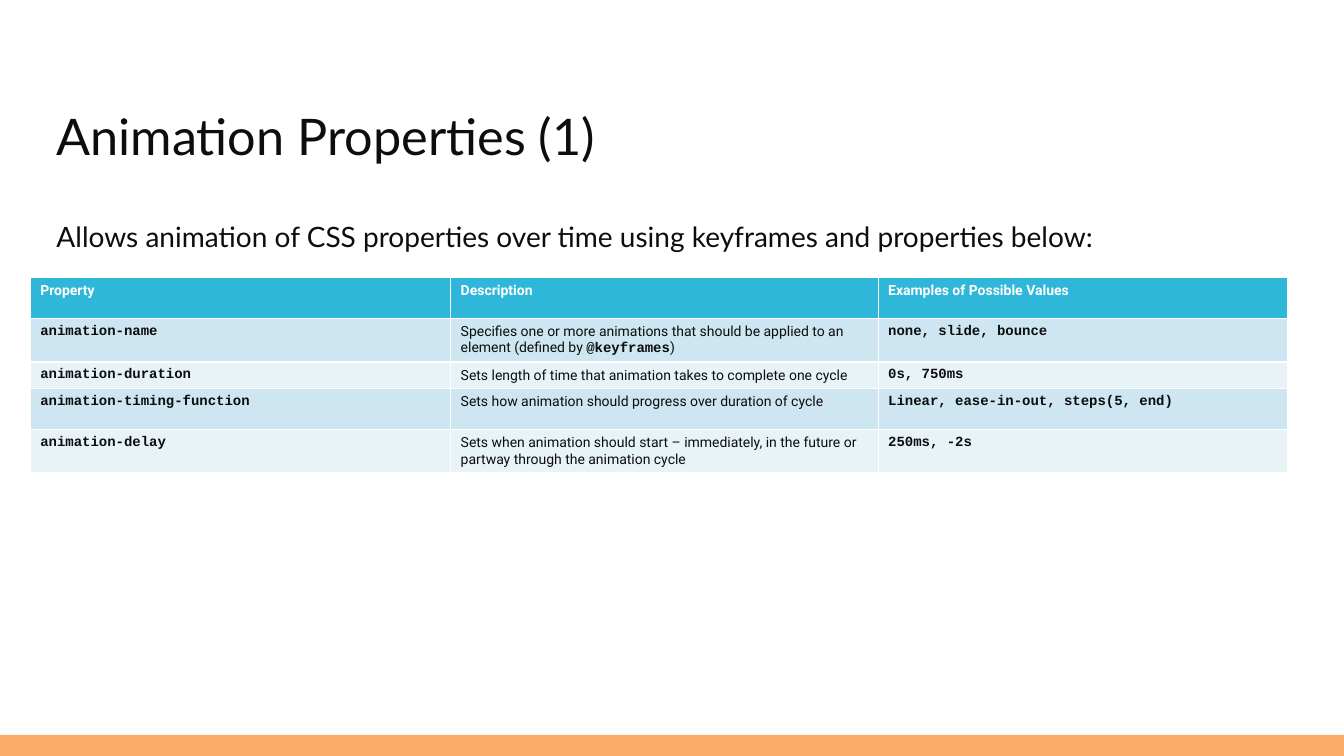
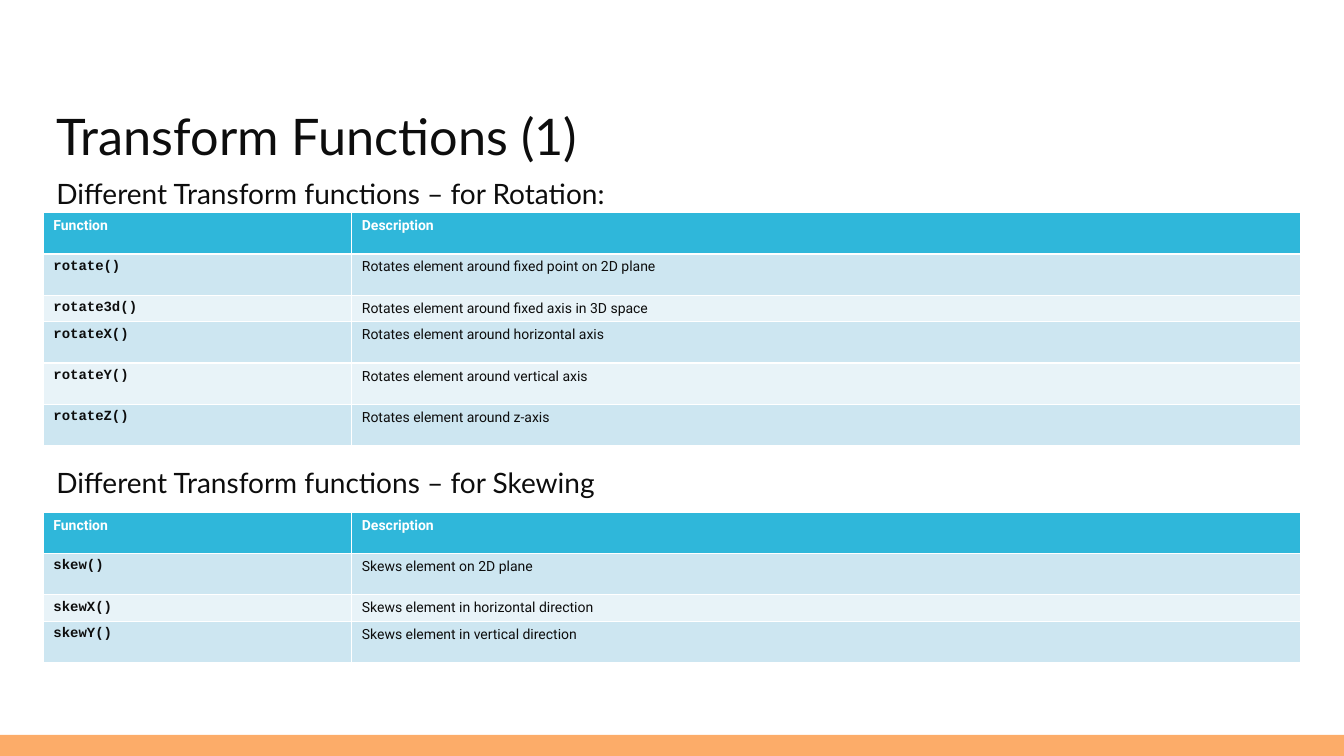
import pptx
import pptx.dml.color
import pptx.enum.shapes
import pptx.enum.text
import pptx.util

Inches = pptx.util.Inches
Pt = pptx.util.Pt
RGBColor = pptx.dml.color.RGBColor

INK = RGBColor(0x0D, 0x0D, 0x0D)
WHITE = RGBColor(0xFF, 0xFF, 0xFF)
ORANGE = RGBColor(0xFC, 0xAC, 0x69)
HEADER_BLUE = RGBColor(0x2F, 0xB7, 0xDA)
ROW_BLUES = (RGBColor(0xCD, 0xE6, 0xF1), RGBColor(0xE8, 0xF3, 0xF8))

HEADING_FONT, TABLE_FONT, CODE_FONT = "Lato", "Roboto", "Courier New"
SLIDE_WIDTH, SLIDE_HEIGHT, BAND_HEIGHT = 13.33, 7.5, 0.21
TEXT_LEFT, TEXT_WIDTH = 0.56, 12.21
TITLE_TOP, TITLE_HEIGHT, LEAD_HEIGHT = 1.06, 0.79, 0.45
ROW_HEIGHT, SHORT_ROW_HEIGHT, SHORT_ROW = 0.41, 0.26, 2
FUNCTION_COLUMNS = (3.06, 9.41)

# Backticks mark code inside table cells.
SLIDES = [
    {
        "title": "Animation Properties (1)",
        "sections": [
            {
                "lead": "Allows animation of CSS properties over time using keyframes and properties below:",
                "lead_top": 2.17, "line_spacing": 0.9,
                "table_at": (0.3, 2.75), "columns": (4.17, 4.24, 4.06),
                "rows": [
                    ("Property", "Description", "Examples of Possible Values"),
                    ("`animation-name`",
                     "Specifies one or more animations that should be applied to an element (defined by `@keyframes`)",
                     "`none, slide, bounce`"),
                    ("`animation-duration`",
                     "Sets length of time that animation takes to complete one cycle",
                     "`0s, 750ms`"),
                    ("`animation-timing-function`",
                     "Sets how animation should progress over duration of cycle",
                     "`Linear, ease-in-out, steps(5, end)`"),
                    ("`animation-delay`",
                     "Sets when animation should start – immediately, in the future or partway through the animation cycle",
                     "`250ms, -2s`"),
                ],
            },
        ],
    },
    {
        "title": "Transform Functions (1)",
        "sections": [
            {
                "lead": "Different Transform functions – for Rotation:",
                "lead_top": 1.7, "line_spacing": 1.0,
                "table_at": (0.43, 2.11), "columns": FUNCTION_COLUMNS,
                "rows": [
                    ("Function", "Description"),
                    ("`rotate()`", "Rotates element around fixed point on 2D plane"),
                    ("`rotate3d()`", "Rotates element around fixed axis in 3D space"),
                    ("`rotateX()`", "Rotates element around horizontal axis"),
                    ("`rotateY()`", "Rotates element around vertical axis"),
                    ("`rotateZ()`", "Rotates element around z-axis"),
                ],
            },
            {
                "lead": "Different Transform functions – for Skewing",
                "lead_top": 4.57, "line_spacing": 1.0,
                "table_at": (0.43, 5.08), "columns": FUNCTION_COLUMNS,
                "rows": [
                    ("Function", "Description"),
                    ("`skew()`", "Skews element on 2D plane"),
                    ("`skewX()`", "Skews element in horizontal direction"),
                    ("`skewY()`", "Skews element in vertical direction"),
                ],
            },
        ],
    },
]


def style_font(font, name, size, color, bold=False):
    font.name, font.size, font.bold = name, Pt(size), bold
    font.color.rgb = color


def write_heading(box, text, top, height, size, line_spacing):
    box.left, box.top = Inches(TEXT_LEFT), Inches(top)
    box.width, box.height = Inches(TEXT_WIDTH), Inches(height)
    frame = box.text_frame
    frame.text = text
    frame.word_wrap = True
    frame.auto_size = pptx.enum.text.MSO_AUTO_SIZE.NONE
    frame.vertical_anchor = pptx.enum.text.MSO_ANCHOR.TOP
    frame.margin_left = frame.margin_right = 0
    frame.margin_top = frame.margin_bottom = Inches(0.05)
    para = frame.paragraphs[0]
    para.alignment = pptx.enum.text.PP_ALIGN.LEFT
    para.line_spacing = line_spacing
    style_font(para.runs[0].font, HEADING_FONT, size, INK)


def write_cell(cell, text, row_index):
    is_header = row_index == 0
    cell.fill.solid()
    cell.fill.fore_color.rgb = HEADER_BLUE if is_header else ROW_BLUES[(row_index - 1) % 2]
    para = cell.text_frame.paragraphs[0]
    for index, part in enumerate(text.split("`")):
        if part:
            is_code = index % 2 == 1
            span = para.add_run()
            span.text = part
            style_font(span.font, CODE_FONT if is_code else TABLE_FONT, 10,
                       WHITE if is_header else INK, is_header or is_code)


def add_section(page, section):
    lead = page.shapes.add_textbox(0, 0, 0, 0)
    write_heading(lead, section["lead"], section["lead_top"], LEAD_HEIGHT, 20,
                  section["line_spacing"])
    rows, columns = section["rows"], section["columns"]
    heights = [SHORT_ROW_HEIGHT if index == SHORT_ROW else ROW_HEIGHT
               for index in range(len(rows))]
    left, top = section["table_at"]
    table = page.shapes.add_table(len(rows), len(columns), Inches(left), Inches(top),
                                  Inches(sum(columns)), Inches(sum(heights))).table
    for column, width in zip(table.columns, columns):
        column.width = Inches(width)
    for row_index, (texts, height) in enumerate(zip(rows, heights)):
        table.rows[row_index].height = Inches(height)
        for column_index, text in enumerate(texts):
            write_cell(table.cell(row_index, column_index), text, row_index)


def move_band_to_layout(page, layout):
    band = page.shapes.add_shape(
        pptx.enum.shapes.MSO_SHAPE.RECTANGLE, 0, Inches(SLIDE_HEIGHT - BAND_HEIGHT),
        Inches(SLIDE_WIDTH), Inches(BAND_HEIGHT))
    band.shadow.inherit = False
    band.fill.solid()
    band.fill.fore_color.rgb = ORANGE
    band.line.fill.background()
    layout.shapes._spTree.insert(2, band._element)


def main():
    deck = pptx.Presentation()
    deck.slide_width, deck.slide_height = Inches(SLIDE_WIDTH), Inches(SLIDE_HEIGHT)
    layout = deck.slide_layouts.get_by_name("Title Only")
    for content in SLIDES:
        page = deck.slides.add_slide(layout)
        write_heading(page.shapes.title, content["title"], TITLE_TOP, TITLE_HEIGHT, 36, 0.9)
        for section in content["sections"]:
            add_section(page, section)
    move_band_to_layout(deck.slides[0], layout)
    deck.save("out.pptx")


if __name__ == "__main__":
    main()
